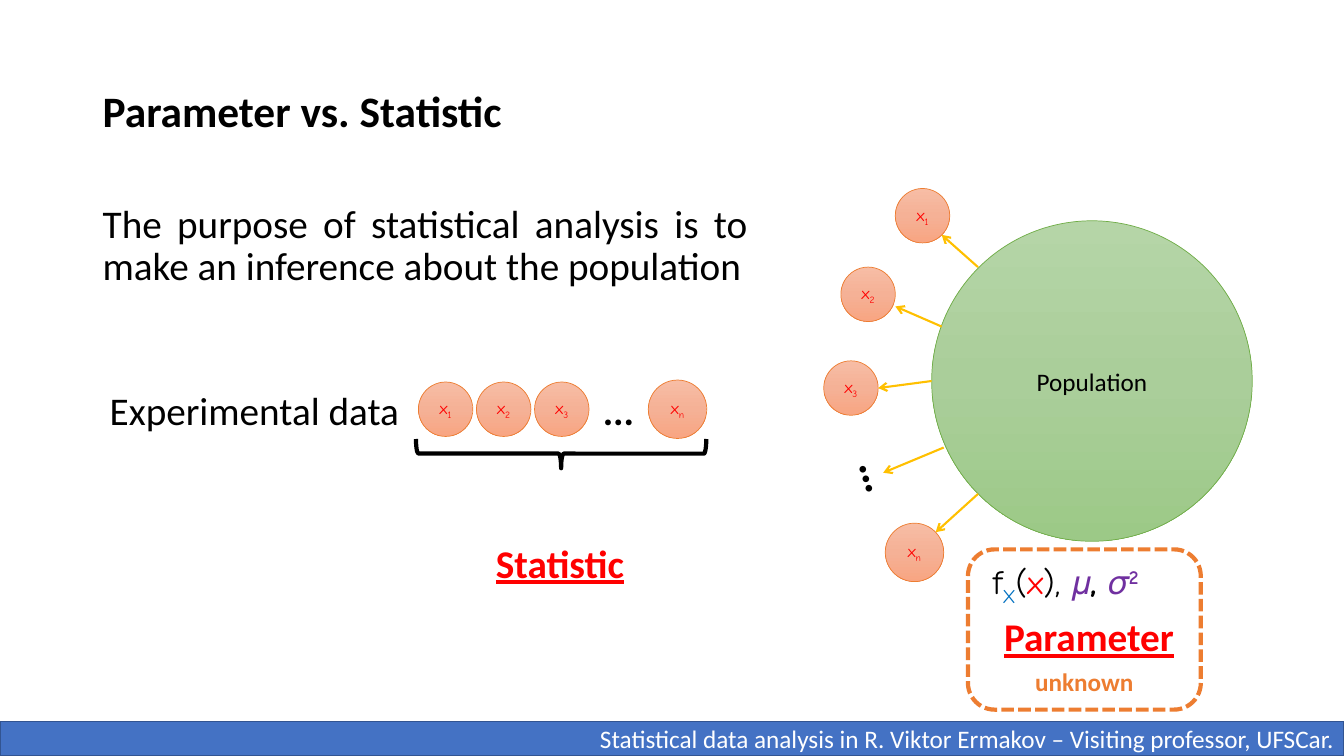
from copy import deepcopy

from pptx import Presentation
from pptx.dml.color import RGBColor
from pptx.enum.dml import MSO_LINE
from pptx.enum.shapes import MSO_CONNECTOR, MSO_SHAPE
from pptx.enum.text import MSO_ANCHOR, PP_ALIGN
from pptx.oxml.ns import qn
from pptx.oxml.xmlchemy import OxmlElement
from pptx.util import Inches, Pt

OVAL, RECT = MSO_SHAPE.OVAL, MSO_SHAPE.RECTANGLE
ROUND, BRACE = MSO_SHAPE.ROUNDED_RECTANGLE, MSO_SHAPE.RIGHT_BRACE
LEFT, RIGHT = PP_ALIGN.LEFT, PP_ALIGN.RIGHT
CENTER, JUSTIFY = PP_ALIGN.CENTER, PP_ALIGN.JUSTIFY
TOP, MIDDLE, BOTTOM = MSO_ANCHOR.TOP, MSO_ANCHOR.MIDDLE, MSO_ANCHOR.BOTTOM

COLORS = {
    "black": "000000", "white": "FFFFFF", "red": "FF0000", "blue": "0070C0",
    "purple": "7030A0", "orange": "ED7D31", "gold": "FFC000",
    "green": "70AD47", "bar": "4472C4", "edge": "325491",
}
GREENS = ("B5D5A7", "AACE9A", "9CC987")
PEACHES = ("F7BDA5", "F5B196", "F8A582")
BODY, COMIC = "Calibri", "Comic Neue"

TITLE = "Parameter vs. Statistic"
PURPOSE = "The purpose of statistical analysis is to make an inference about the population"
FOOTER = "Statistical data analysis in R. Viktor Ermakov – Visiting professor, UFSCar."

# label, left, top, size
DRAWN = [("1", 8.88, 1.87, 0.54), ("2", 8.34, 2.65, 0.54),
         ("3", 8.17, 3.58, 0.54), ("n", 8.78, 5.19, 0.58)]
ROW_LEFT, ROW_MID, STEP = 4.15, 4.06, 0.576
ROW = [(str(i + 1), ROW_LEFT + i * STEP, ROW_MID - 0.27, 0.54) for i in range(3)]
ROW.append(("n", 6.43, ROW_MID - 0.29, 0.58))

ARROWS = [((9.7, 2.65), (9.34, 2.33)), ((9.34, 3.24), (8.88, 3.04)),
          ((9.24, 3.78), (8.71, 3.85)), ((9.36, 4.44), (8.76, 4.69)),
          ((9.7, 4.9), (9.28, 5.28))]

# text and what differs from the default run
DENSITY = [("f", {}), ("X", {"color": "blue", "base": -25}), ("(", {}),
           ("x", {"color": "red"}), ("), ", {}),
           ("𝜇", {"color": "purple", "bold": True}), (", ", {"bold": True}),
           ("𝜎", {"color": "purple", "bold": True}),
           ("2", {"color": "purple", "bold": True, "base": 30})]

# text, box, format
LABELS = [
    (TITLE, (0.92, 0.4, 11.5, 1.45),
     {"size": 31, "bold": True, "anchor": MIDDLE, "spacing": 0.9}),
    (PURPOSE, (0.92, 1.98, 6.59, 0.85), {"align": JUSTIFY, "spacing": 0.9}),
    ("Experimental data", (0.99, 3.78, 3.1, 0.57), {"wrap": False}),
    ("...", (5.88, 3.78, 0.52, 0.57), {"bold": True, "wrap": False}),
    ("…", (8.19, 4.47, 0.52, 0.64),
     {"size": 32, "bold": True, "wrap": False, "turn": 252.3}),
    (DENSITY, (9.75, 5.52, 2.16, 0.5), {"size": 24, "font": COMIC, "wrap": False}),
]
LABELS += [(word, box, {"color": "red", "bold": True, "under": True, "wrap": False})
           for word, box in [("Parameter", (9.86, 6.03, 1.93, 0.57)),
                             ("Statistic", (4.82, 5.3, 1.49, 0.57))]]


def rgb(name):
    return RGBColor.from_string(COLORS.get(name, name))


def write(shape, text, size=28, font=BODY, color="black", bold=False, under=False,
          align=LEFT, anchor=TOP, spacing=None, wrap=True, inset=None):
    """Fill a shape with one paragraph: a string, or (text, changes) runs."""
    frame = shape.text_frame
    frame.word_wrap, frame.vertical_anchor = wrap, anchor
    if inset is not None:
        frame.margin_left = frame.margin_right = Inches(inset)
        frame.margin_top = frame.margin_bottom = Inches(inset)
    para = frame.paragraphs[0]
    para.alignment = align
    if spacing:
        para.line_spacing = spacing
    for part, change in [(text, {})] if isinstance(text, str) else text:
        run = para.add_run()
        run.text = part
        face = run.font
        face.name, face.size, face.underline = font, Pt(size), under
        face.bold = change.get("bold", bold)
        face.color.rgb = rgb(change.get("color", color))
        if "base" in change:
            run._r.get_or_add_rPr().set("baseline", str(change["base"] * 1000))


def shade(shape, hues):
    """Give a shape a three-stop gradient from top to bottom."""
    fill = shape.fill
    fill.gradient()
    fill.gradient_angle = 270
    stops = shape._element.spPr.find(".//" + qn("a:gsLst"))
    stops.insert(1, deepcopy(stops[0]))
    for stop, hue, place in zip(fill.gradient_stops, hues, (0, 0.5, 1)):
        stop.color.rgb, stop.position = rgb(hue), place


def draw(slide, kind, box, line, width, fill=None):
    shape = slide.shapes.add_shape(kind, *map(Inches, box))
    shape.shadow.inherit = False
    shape.line.color.rgb, shape.line.width = rgb(line), Pt(width)
    if isinstance(fill, tuple):
        shade(shape, fill)
    elif fill:
        shape.fill.solid()
        shape.fill.fore_color.rgb = rgb(fill)
    else:
        shape.fill.background()
    return shape


def label(slide, text, box, turn=0, **style):
    area = slide.shapes.add_textbox(*map(Inches, box))
    area.rotation = turn
    write(area, text, **style)


def arrow(slide, start, end):
    line = slide.shapes.add_connector(MSO_CONNECTOR.STRAIGHT, *map(Inches, start + end))
    line.line.color.rgb, line.line.width = rgb("gold"), Pt(1.5)
    tail = OxmlElement("a:tailEnd")
    tail.set("type", "arrow")
    line.line._get_or_add_ln().append(tail)
    line._element.spPr.append(OxmlElement("a:effectLst"))


def main():
    deck = Presentation()
    deck.slide_width, deck.slide_height = Inches(13.33), Inches(7.5)
    slide = deck.slides.add_slide(deck.slide_layouts[6])

    bar = draw(slide, RECT, (0, 7.16, 13.33, 0.34), "edge", 1, "bar")
    write(bar, FOOTER, size=18, color="white", align=RIGHT, anchor=MIDDLE)
    crowd = draw(slide, OVAL, (9.24, 2.19, 3.18, 3.18), "green", 0.5, GREENS)
    write(crowd, "Population", size=18, align=CENTER, anchor=MIDDLE)

    for mark, left, top, size in DRAWN + ROW:
        ball = draw(slide, OVAL, (left, top, size, size), "orange", 0.5, PEACHES)
        write(ball, [("x", {}), (mark, {"base": -25})], size=12, font=COMIC,
              color="red", align=CENTER, anchor=MIDDLE, wrap=False, inset=0)
    for start, end in ARROWS:
        arrow(slide, start, end)

    brace = draw(slide, BRACE, (5.42, 3.06, 0.29, 2.88), "black", 3)
    brace.rotation = 90
    for text, box, style in LABELS:
        label(slide, text, box, **style)

    frame = draw(slide, ROUND, (9.6, 5.45, 2.31, 1.59), "orange", 3)
    frame.line.dash_style = MSO_LINE.SQUARE_DOT
    write(frame, "unknown", size=18, color="orange", bold=True,
          align=CENTER, anchor=BOTTOM)
    deck.save("out.pptx")


if __name__ == "__main__":
    main()
